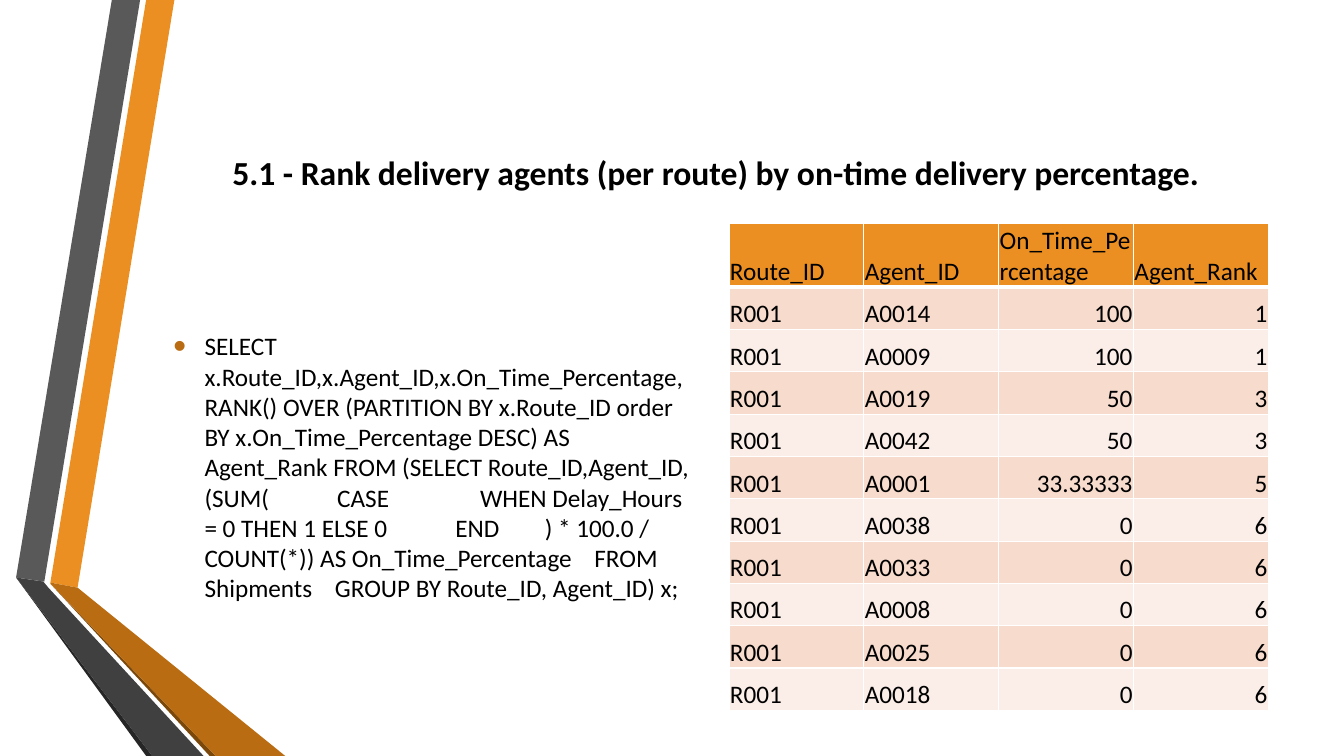
from lxml import etree
from pptx import Presentation
from pptx import util as u
from pptx.dml.color import RGBColor
from pptx.enum import text
from pptx.oxml import ns

QUERY = (
    "SELECT x.Route_ID,x.Agent_ID,x.On_Time_Percentage,"
    "RANK() OVER (PARTITION BY x.Route_ID order BY x.On_Time_Percentage DESC) AS Agent_Rank "
    "FROM (SELECT Route_ID,Agent_ID,"
    "(SUM(            CASE                WHEN Delay_Hours = 0 THEN 1 ELSE 0            END"
    "        ) * 100.0 / COUNT(*)) AS On_Time_Percentage"
    "    FROM Shipments    GROUP BY Route_ID, Agent_ID) x;"
)
HEADINGS = ("Route_ID", "Agent_ID", "On_Time_Percentage", "Agent_Rank")
RANKING = [
    ("A0014", "100", "1"),
    ("A0009", "100", "1"),
    ("A0019", "50", "3"),
    ("A0042", "50", "3"),
    ("A0001", "33.33333", "5"),
    ("A0038", "0", "6"),
    ("A0033", "0", "6"),
    ("A0008", "0", "6"),
    ("A0025", "0", "6"),
    ("A0018", "0", "6"),
]
RIBBONS = [
    ("EB8F22", [(0.5, 5.78), (0.77, 5.83), (1.73, 0), (1.45, 0)]),
    ("595959", [(1.39, 0), (1.11, 0), (0.16, 5.73), (0.44, 5.77)]),
    ("262626", [(0.16, 5.73), (1.45, 7.5), (1.51, 7.5)]),
    ("7B480B", [(0.5, 5.79), (2.08, 7.5), (2.14, 7.5)]),
    ("B96C11", [(0.5, 5.79), (2.14, 7.5), (2.83, 7.5), (0.77, 5.83), (0.5, 5.78)]),
    ("404040", [(2.02, 7.5), (0.48, 5.83), (0.43, 5.77), (0.16, 5.73), (1.51, 7.5)]),
]


def color(hex_code):
    return RGBColor.from_string(hex_code)


class SlideBuilder:
    font_name = "Calibri"
    ink = "000000"
    accent = "EB8F22"
    bullet_color = "B96C11"
    border = "FFFFFF"
    bands = ("F7DBCD", "FBEEE8")

    def __init__(self, slide):
        self.slide = slide

    def style(self, paragraph, size, bold=False, align=text.PP_ALIGN.LEFT):
        paragraph.alignment = align
        font = paragraph.font
        font.name, font.size, font.bold = self.font_name, u.Pt(size), bold
        font.color.rgb = color(self.ink)

    def ribbon(self, fill, points):
        corners = [(u.Inches(x), u.Inches(y)) for x, y in points]
        outline = self.slide.shapes.build_freeform(*corners[0])
        outline.add_line_segments(corners[1:], close=True)
        band = outline.convert_to_shape()
        band.fill.solid()
        band.fill.fore_color.rgb = color(fill)
        band.line.fill.background()
        band.shadow.inherit = False

    def title(self, wording, left, top, width, height):
        heading = self.slide.shapes.title
        heading.left, heading.top = u.Inches(left), u.Inches(top)
        heading.width, heading.height = u.Inches(width), u.Inches(height)
        frame = heading.text_frame
        frame.text = wording
        frame.vertical_anchor = text.MSO_ANCHOR.MIDDLE
        self.style(frame.paragraphs[0], 24, True, text.PP_ALIGN.CENTER)

    def bullet(self, wording, *box):
        frame = self.slide.shapes.add_textbox(*map(u.Inches, box)).text_frame
        frame.word_wrap = True
        frame.vertical_anchor = text.MSO_ANCHOR.MIDDLE
        paragraph = frame.paragraphs[0]
        paragraph.text = wording
        paragraph.space_after = u.Pt(6)
        props = paragraph._p.get_or_add_pPr()
        props.set("marL", str(u.Inches(0.31)))
        props.set("indent", str(u.Inches(-0.31)))
        bullet_fill = etree.SubElement(props, ns.qn("a:buClr"))
        etree.SubElement(bullet_fill, ns.qn("a:srgbClr"), val=self.bullet_color)
        etree.SubElement(props, ns.qn("a:buSzPct"), val="145000")
        etree.SubElement(props, ns.qn("a:buFont"), typeface="Arial")
        etree.SubElement(props, ns.qn("a:buChar"), char="•")
        self.style(paragraph, 18)

    def cell_borders(self, cell, top, bottom):
        props = cell._tc.get_or_add_tcPr()
        sides = (("L", 1), ("R", 1), ("T", top), ("B", bottom))
        for position, (side, points) in enumerate(sides):
            edge = etree.Element(ns.qn(f"a:ln{side}"), w=str(u.Pt(points)))
            fill = etree.SubElement(edge, ns.qn("a:solidFill"))
            etree.SubElement(fill, ns.qn("a:srgbClr"), val=self.border)
            props.insert(position, edge)

    def cell(self, cell, wording, fill, align, top=1, bottom=1):
        cell.text = wording
        cell.vertical_anchor = text.MSO_ANCHOR.BOTTOM
        cell.margin_left = cell.margin_right = cell.margin_top = u.Inches(0.01)
        cell.margin_bottom = 0
        cell.fill.solid()
        cell.fill.fore_color.rgb = color(fill)
        self.cell_borders(cell, top, bottom)
        self.style(cell.text_frame.paragraphs[0], 18, align=align)

    def table(self, headings, records, left, top, width, header_height, row_height):
        height = header_height + row_height * len(records)
        grid = self.slide.shapes.add_table(
            len(records) + 1, len(headings), *map(u.Inches, (left, top, width, height))
        ).table
        grid.first_row = grid.horz_banding = False
        for row in grid.rows:
            row.height = u.Inches(row_height)
        grid.rows[0].height = u.Inches(header_height)
        for column, heading in enumerate(headings):
            self.cell(grid.cell(0, column), heading, self.accent, text.PP_ALIGN.LEFT, bottom=3)
        for number, record in enumerate(records, 1):
            fill = self.bands[(number - 1) % 2]
            for column, value in enumerate(record):
                align = text.PP_ALIGN.LEFT if column < 2 else text.PP_ALIGN.RIGHT
                self.cell(grid.cell(number, column), value, fill, align, top=3 if number == 1 else 1)


def main():
    deck = Presentation()
    deck.slide_width, deck.slide_height = u.Inches(13.33), u.Inches(7.5)
    builder = SlideBuilder(deck.slides.add_slide(deck.slide_layouts[5]))
    for fill, points in RIBBONS:
        builder.ribbon(fill, points)
    builder.title(
        "5.1 - Rank delivery agents (per route) by on-time delivery percentage.",
        1.62, 0.75, 10.96, 1.92,
    )
    builder.bullet(QUERY, 1.62, 2.92, 5.35, 3.42)
    records = [("R001", *entry) for entry in RANKING]
    builder.table(HEADINGS, records, 7.23, 2.22, 5.35, 0.63, 0.42)
    deck.save("out.pptx")


if __name__ == "__main__":
    main()
